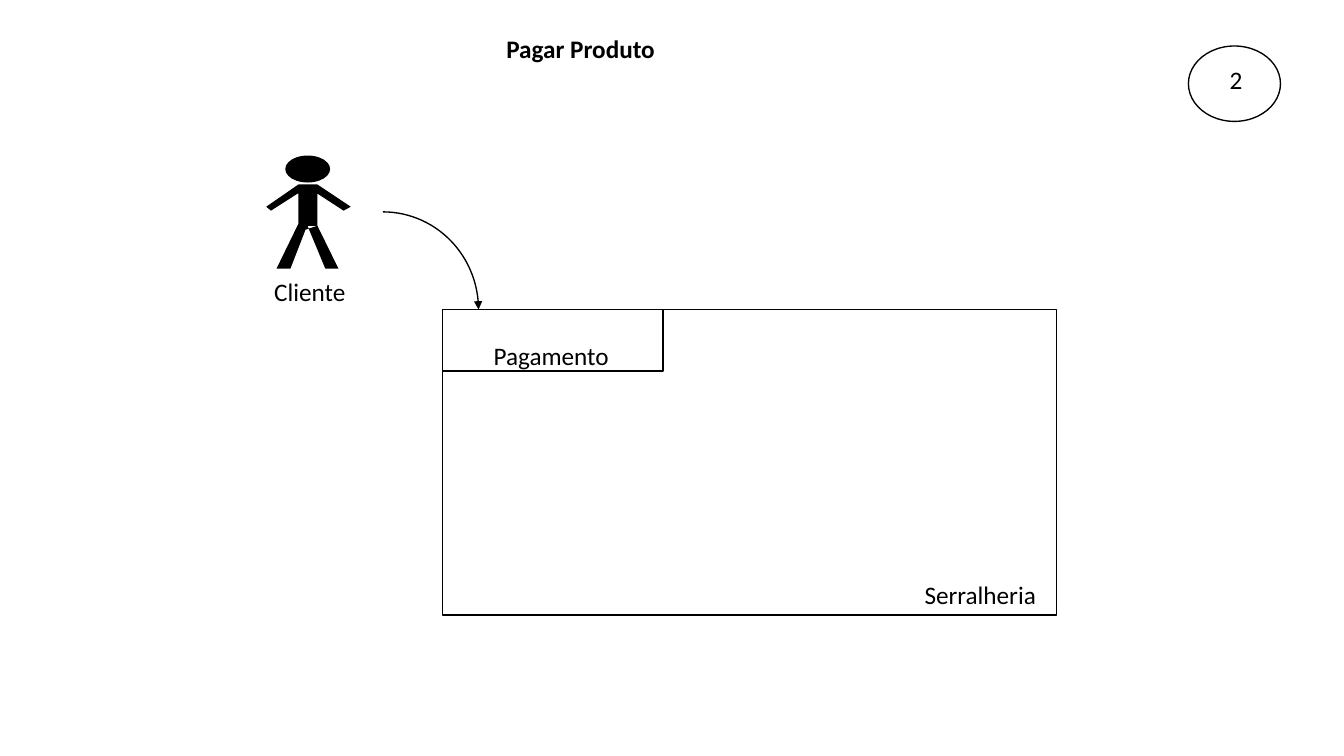
import math
from dataclasses import dataclass

from lxml import etree
from pptx import Presentation
from pptx import util as u
from pptx.dml.color import RGBColor
from pptx.enum import shapes, text
from pptx.oxml.ns import qn


@dataclass(frozen=True)
class Theme:
    ink: RGBColor = RGBColor(0, 0, 0)
    font: str = "Calibri"
    size: u.Pt = u.Pt(18)
    line: u.Pt = u.Pt(0.96)


theme = Theme()


def style_shape(shape, filled=False):
    shape.shadow.inherit = False
    if filled:
        shape.fill.solid()
        shape.fill.fore_color.rgb = theme.ink
        shape.line.fill.background()
    else:
        shape.fill.background()
        shape.line.color.rgb = theme.ink
        shape.line.width = theme.line


def write_text(shape, words, left=0.03, top=0.06, bold=False, anchor=text.MSO_ANCHOR.TOP):
    frame = shape.text_frame
    frame.text = words
    frame.word_wrap = True
    frame.vertical_anchor = anchor
    frame.margin_left, frame.margin_top = u.Cm(left), u.Cm(top)
    frame.margin_right = frame.margin_bottom = 0
    paragraph = frame.paragraphs[0]
    paragraph.alignment = text.PP_ALIGN.LEFT
    font = paragraph.runs[0].font
    font.name, font.size, font.bold = theme.font, theme.size, bold
    font.color.rgb = theme.ink


presentation = Presentation()
presentation.slide_width, presentation.slide_height = u.Cm(33.87), u.Cm(19.05)
slide = presentation.slides.add_slide(presentation.slide_layouts[6])

actor_head = slide.shapes.add_shape(
    shapes.MSO_SHAPE.OVAL, u.Cm(7.19), u.Cm(3.92), u.Cm(1.13), u.Cm(0.68)
)
style_shape(actor_head, filled=True)

torso_and_left_leg = [
    (7.52, 4.88), (8, 4.88), (8, 5.69), (7.7, 5.79), (7.32, 6.77), (6.97, 6.77), (7.52, 5.64),
]
right_leg = [(8, 5.69), (8.53, 6.77), (8.2, 6.77), (7.75, 5.69)]
arms = [
    (7.52, 4.65), (8, 4.65), (8.84, 5.21), (8.66, 5.31),
    (8, 4.88), (7.5, 4.88), (6.83, 5.31), (6.71, 5.21),
]
body_parts = [
    [(u.Cm(x), u.Cm(y)) for x, y in part] for part in (torso_and_left_leg, right_leg, arms)
]
body = slide.shapes.build_freeform(*body_parts[0][0])
for part in body_parts:
    body.move_to(*part[0])
    body.add_line_segments(part[1:], close=True)
style_shape(body.convert_to_shape(), filled=True)

system_box = slide.shapes.add_shape(
    shapes.MSO_SHAPE.RECTANGLE, u.Cm(11.15), u.Cm(7.8), u.Cm(15.47), u.Cm(7.7)
)
style_shape(system_box)

arc_left, arc_bottom, arc_width, arc_height = 9.65, 7.8, 2.41, 2.46
arc_steps = 30
arc_angles = [math.pi / 2 * step / arc_steps for step in range(arc_steps + 1)]
arc_points = [
    (
        u.Cm(arc_left + arc_width * math.sin(angle)),
        u.Cm(arc_bottom - arc_height * math.cos(angle)),
    )
    for angle in arc_angles
]
arc = slide.shapes.build_freeform(*arc_points[0])
arc.add_line_segments(arc_points[1:], close=False)
payment_arrow = arc.convert_to_shape()
style_shape(payment_arrow)
arrow_line = payment_arrow.line._get_or_add_ln()
etree.SubElement(arrow_line, qn("a:tailEnd"), type="triangle", w="med", len="med")

payment_box = slide.shapes.add_shape(
    shapes.MSO_SHAPE.RECTANGLE, u.Cm(11.15), u.Cm(7.8), u.Cm(5.56), u.Cm(1.55)
)
style_shape(payment_box)
write_text(payment_box, "Pagamento", left=1.29, top=0, anchor=text.MSO_ANCHOR.BOTTOM)

page_circle = slide.shapes.add_shape(
    shapes.MSO_SHAPE.OVAL, u.Cm(29.95), u.Cm(1.16), u.Cm(2.32), u.Cm(1.9)
)
style_shape(page_circle)

labels = [
    ("Serralheria", 23.27, 14.53, 2.95, False),
    ("Pagar Produto", 12.73, 0.79, 7.09, True),
    ("Cliente", 6.88, 6.91, 1.95, False),
    ("2", 30.96, 1.57, 0.4, False),
]
for words, left, top, width, bold in labels:
    label = slide.shapes.add_textbox(u.Cm(left), u.Cm(top), u.Cm(width), u.Cm(0.84))
    write_text(label, words, bold=bold)

presentation.save("out.pptx")
